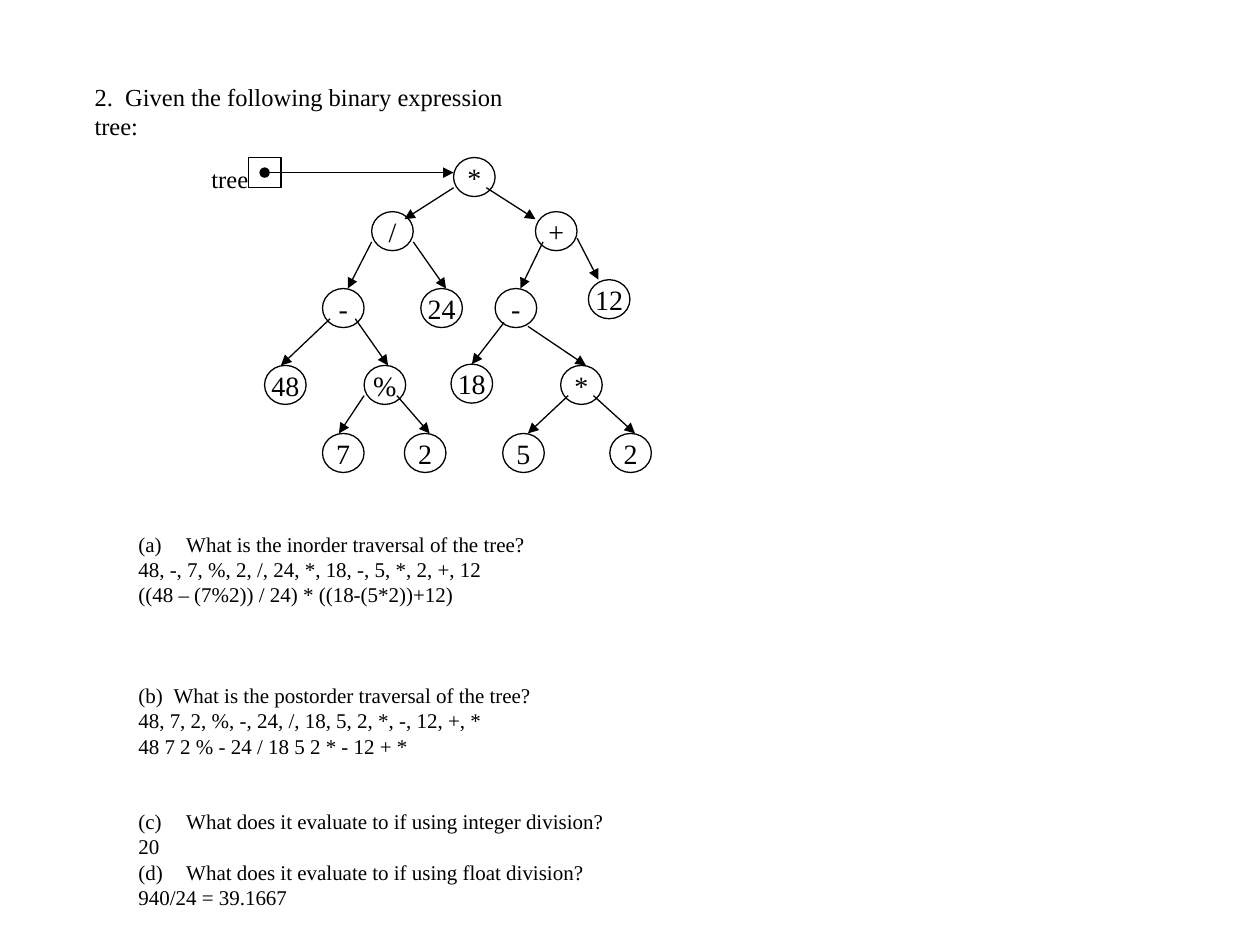
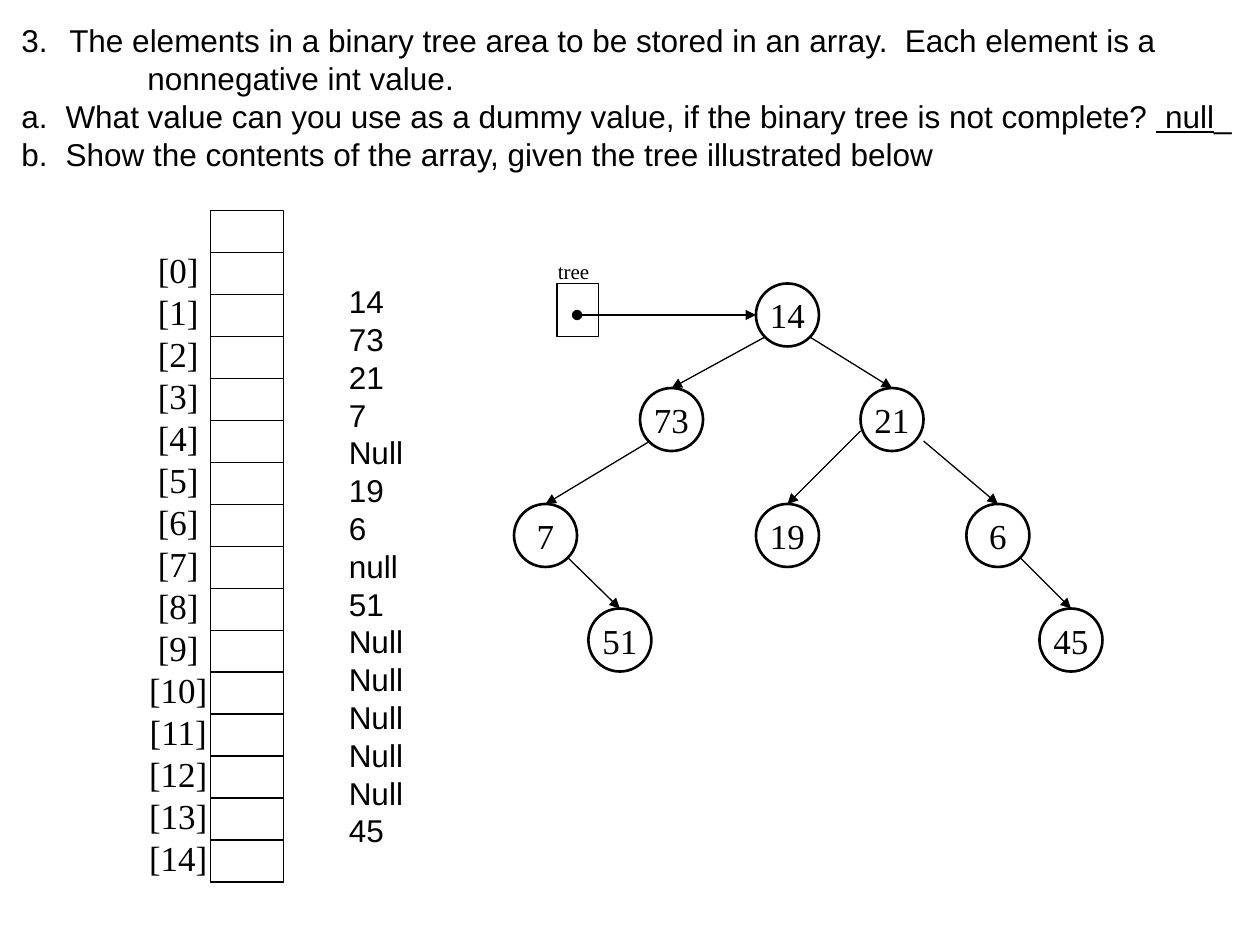
import dataclasses
import pptx
import pptx.dml.color
import pptx.enum.shapes
import pptx.enum.text
import pptx.oxml.ns
import pptx.util
import lxml.etree

Inches = pptx.util.Inches
Kind = pptx.enum.shapes.MSO_SHAPE
Align = pptx.enum.text.PP_ALIGN
Anchor = pptx.enum.text.MSO_ANCHOR


@dataclasses.dataclass(frozen=True)
class Theme:
    ink: pptx.dml.color.RGBColor = pptx.dml.color.RGBColor(0, 0, 0)
    serif: str = "Times New Roman"
    sans: str = "Arial"
    small: int = 12
    label: int = 14
    node: int = 16
    body: int = 18
    large: int = 20
    thin: float = 0.75
    thick: float = 1.5
    leading: float = 1.2


@dataclasses.dataclass(frozen=True)
class Line:
    text: str
    mark: str = ""
    start: int = 1
    left: float = 0
    gap: int = 0
    tail: tuple = ()


THEME = Theme()


def add_xml(parent, tag, **attrs):
    return lxml.etree.SubElement(parent, pptx.oxml.ns.qn(tag), **attrs)


def write(frame, lines, face, size, align=Align.LEFT, pad=0.1):
    frame.word_wrap = True
    frame.auto_size = pptx.enum.text.MSO_AUTO_SIZE.NONE
    frame.vertical_anchor = Anchor.TOP
    frame.margin_left = frame.margin_right = Inches(pad)
    frame.margin_top = frame.margin_bottom = Inches(0.05)
    frame.text = "\n".join(line.text for line in lines)
    pitch = THEME.leading * size
    for para, line in zip(frame.paragraphs, lines):
        props = para._p.get_or_add_pPr()
        props.set("marL", str(Inches(line.left)))
        props.set("indent", str(-Inches(line.left) if line.mark else 0))
        if line.mark:
            add_xml(props, "a:buAutoNum", type=line.mark, startAt=str(line.start))
        para.alignment = align
        para.line_spacing = pptx.util.Pt(pitch)
        if line.gap:
            para.space_before = pptx.util.Pt(line.gap * pitch)
        for text, under in line.tail:
            run = para.add_run()
            run.text = text
            run.font.underline = under
        paint(para, face, size)


def paint(para, face, size):
    for run in para.runs:
        run.font.name = face
        run.font.size = pptx.util.Pt(size)
        run.font.color.rgb = THEME.ink


def add_text(slide, box, lines, face, size, **style):
    shape = slide.shapes.add_textbox(*map(Inches, box))
    write(shape.text_frame, lines, face, size, **style)


def add_title(slide, box, lines, face, size):
    title = slide.shapes.title
    title.left, title.top, title.width, title.height = map(Inches, box)
    write(title.text_frame, lines, face, size)


def add_shape(slide, kind, box, weight):
    shape = slide.shapes.add_shape(kind, *map(Inches, box))
    shape.shadow.inherit = False
    shape.fill.background()
    shape.line.color.rgb = THEME.ink
    shape.line.width = pptx.util.Pt(weight)
    return shape


def add_line(slide, begin, end, head=None, tail=None):
    line = slide.shapes.add_connector(
        pptx.enum.shapes.MSO_CONNECTOR.STRAIGHT, *map(Inches, begin + end))
    line.line.color.rgb = THEME.ink
    line.line.width = pptx.util.Pt(THEME.thin)
    pen = line.line._get_or_add_ln()
    if head:
        add_xml(pen, "a:headEnd", type=head)
    if tail:
        add_xml(pen, "a:tailEnd", type=tail)
    add_xml(line._element.spPr, "a:effectLst")
    return line


def add_node(slide, box, text, size, weight):
    node = add_shape(slide, Kind.OVAL, box, weight)
    frame = node.text_frame
    frame.word_wrap = False
    frame.vertical_anchor = Anchor.MIDDLE
    frame.text = text
    frame.paragraphs[0].alignment = Align.CENTER
    paint(frame.paragraphs[0], THEME.serif, size)
    return node


def add_tree(slide, origin, extent, nodes, size, weight):
    left, top = origin
    width, height = extent
    drawn = []
    for text, x, y, parent, leave, enter in nodes:
        spot = (left + x, top + y)
        node = add_node(slide, spot + extent, text, size, weight)
        drawn.append((node, spot))
        if parent is None:
            continue
        base = drawn[parent][1]
        begin = (base[0] + leave[0], base[1] + leave[1])
        into = enter or (width / 2, 0)
        end = (spot[0] + into[0], spot[1] + into[1])
        edge = add_line(slide, begin, end, tail="triangle")
        if not enter:
            edge.end_connect(node, 0)


def add_root(slide, box, dot, reach, label, size):
    left, top = box[:2]
    add_shape(slide, Kind.RECTANGLE, box, THEME.thin)
    begin = (left + dot[0], top + dot[1])
    add_line(slide, begin, (begin[0] + reach, begin[1]), "oval", "triangle")
    add_text(slide, label, [Line("tree")], THEME.serif, size)


def add_array(slide, box, rows):
    left, top, width, height = box
    step = height / rows
    add_shape(slide, Kind.RECTANGLE, box, THEME.thin)
    for row in range(1, rows + 1):
        y = top + row * step
        add_line(slide, (left, y), (left + width, y))
    names = [Line(f"[{spot}]") for spot in range(rows - 1)]
    add_text(slide, (left - 0.59, top + 0.25, 0.67, 5.15), names,
             THEME.serif, THEME.large, align=Align.CENTER, pad=0)


def build_maths(slide):
    add_title(slide, (0.65, 0.6, 3.75, 0.6),
              [Line("2.  Given the following binary expression tree:")],
              THEME.serif, THEME.label)
    low, right = (0.06, 0.24), (0.26, 0.24)
    nodes = [
        ("*", 1.5, 0, None, None, None),
        ("/", 0.85, 0.43, 0, (0, 0.24), (0.26, 0.06)),
        ("+", 2.15, 0.43, 0, right, (0, 0.06)),
        ("-", 0.46, 1.04, 1, (0, 0.24), (0.2, 0)),
        ("24", 1.24, 1.04, 1, (0.33, 0.24), (0.2, 0)),
        ("-", 1.83, 1.04, 2, low, (0.2, 0)),
        ("12", 2.57, 0.97, 2, (0.33, 0.21), (0.08, 0)),
        ("48", 0, 1.65, 3, low, (0.13, 0)),
        ("%", 0.79, 1.65, 3, right, (0.19, 0)),
        ("18", 1.48, 1.64, 5, (0.07, 0.27), None),
        ("*", 2.35, 1.65, 5, (0.26, 0.3), (0.2, 0)),
        ("7", 0.46, 2.19, 8, (0, 0.24), (0.13, 0)),
        ("2", 1.11, 2.19, 8, right, (0.2, 0)),
        ("5", 1.89, 2.19, 10, low, (0.2, 0)),
        ("2", 2.74, 2.19, 10, right, (0.2, 0)),
    ]
    add_tree(slide, (2.1, 1.25), (0.33, 0.31), nodes, THEME.node, THEME.thin)
    add_root(slide, (1.97, 1.25, 0.26, 0.24), (0.13, 0.12), 1.5,
             (1.58, 1.25, 0.6, 0.33), THEME.label)
    mark = "alphaLcParenBoth"
    add_text(slide, (1, 4.17, 4.2, 3.2), [
        Line("What is the inorder traversal of the tree?", mark, 1, 0.38),
        Line("48, -, 7, %, 2, /, 24, *, 18, -, 5, *, 2, +, 12"),
        Line("((48 – (7%2)) / 24) * ((18-(5*2))+12)"),
        Line("What is the postorder traversal of the tree?", mark, 2, 0.28, 3),
        Line("48, 7, 2, %, -, 24, /, 18, 5, 2, *, -, 12, +, *"),
        Line("48 7 2 % - 24 / 18 5 2 * - 12 + *"),
        Line("What does it evaluate to if using integer division?", mark, 3, 0.38, 2),
        Line("20"),
        Line("What does it evaluate to if using float division?", mark, 4, 0.38),
        Line("940/24 = 39.1667"),
    ], THEME.serif, THEME.small)


def build_store(slide):
    mark = "alphaLcPeriod"
    add_title(slide, (0.07, 0.12, 9.89, 1.31), [
        Line("The elements in a binary tree area to be stored in an array.  "
             "Each element is a", "arabicPeriod", 3, 0.38),
        Line("nonnegative int value.", left=1),
        Line("What value can you use as a dummy value, if the binary tree is "
             "not complete? ", mark, 1, 0.35,
             tail=((" null", True), ("_", False))),
        Line("Show the contents of the array, given the tree illustrated below",
             mark, 2, 0.35),
    ], THEME.sans, THEME.body)
    low, right = (0.08, 0.42), (0.42, 0.42)
    nodes = [
        ("14", 1.92, 0, None, None, None),
        ("73", 1, 0.83, 0, low, None),
        ("21", 2.75, 0.83, 0, right, None),
        ("7", 0, 1.75, 1, low, None),
        ("19", 1.92, 1.75, 2, (0, 0.34), None),
        ("6", 3.59, 1.75, 2, (0.5, 0.42), None),
        ("51", 0.59, 2.58, 3, right, None),
        ("45", 4.17, 2.58, 5, right, None),
    ]
    add_tree(slide, (4.08, 2.25), (0.5, 0.5), nodes, THEME.large, THEME.thick)
    add_root(slide, (4.42, 2.25, 0.33, 0.42), (0.16, 0.25), 1.42,
             (4.33, 2, 0.6, 0.3), THEME.small)
    add_array(slide, (1.67, 1.67, 0.58, 5.33), 16)
    values = ("14 73 21 7 Null 19 6 null 51 Null Null Null Null Null 45").split()
    add_text(slide, (2.67, 2.19, 0.67, 4.95), [Line(value) for value in values],
             THEME.sans, THEME.body)


def main():
    deck = pptx.Presentation()
    deck.slide_width, deck.slide_height = Inches(10), Inches(7.5)
    for build in (build_maths, build_store):
        build(deck.slides.add_slide(deck.slide_layouts[5]))
    deck.save("out.pptx")


if __name__ == "__main__":
    main()
